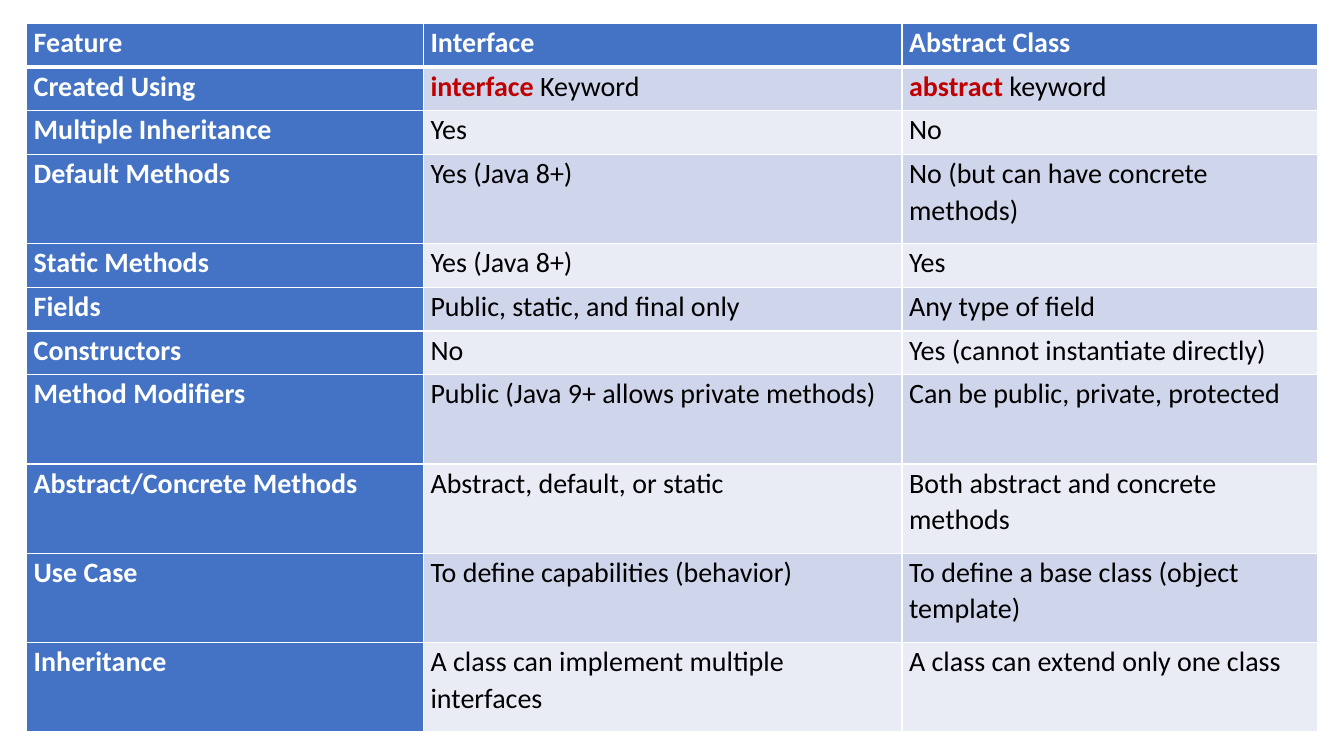
from dataclasses import dataclass

from lxml.etree import SubElement
from pptx import Presentation
from pptx.dml.color import RGBColor as Rgb
from pptx.oxml.ns import qn
from pptx.util import Cm, Pt

# Content: each row is feature, interface, abstract class; *word* marks a keyword
HEADER = ("Feature", "Interface", "Abstract Class")
ROWS = [
    ("Created Using", "*interface* Keyword", "*abstract* keyword"),
    ("Multiple Inheritance", "Yes", "No"),
    ("Default Methods", "Yes (Java 8+)", "No (but can have concrete methods)"),
    ("Static Methods", "Yes (Java 8+)", "Yes"),
    ("Fields", "Public, static, and final only", "Any type of field"),
    ("Constructors", "No", "Yes (cannot instantiate directly)"),
    ("Method Modifiers", "Public (Java 9+ allows private methods)",
     "Can be public, private, protected"),
    ("Abstract/Concrete Methods", "Abstract, default, or static",
     "Both abstract and concrete methods"),
    ("Use Case", "To define capabilities (behavior)",
     "To define a base class (object template)"),
    ("Inheritance", "A class can implement multiple interfaces",
     "A class can extend only one class"),
]
TALL_ROWS = {"Default Methods", "Method Modifiers", "Abstract/Concrete Methods",
             "Use Case", "Inheritance"}

# Layout in centimetres
LEFT, TOP = 0.67, 0.59
COLUMN_WIDTHS = (10.0, 12.06, 10.47)
ROW_HEIGHT, TALL_HEIGHT = 1.1, 2.25
SIDE_MARGIN = 0.18


@dataclass(frozen=True)
class Theme:
    font: str = "Calibri"
    size: int = 20
    line_spacing: float = 1.07
    accent: str = "4472C4"
    bands: tuple = ("CFD5EA", "E9EBF5")
    light: str = "FFFFFF"
    dark: str = "000000"
    keyword: str = "C00000"
    thin: int = 1
    thick: int = 3


THEME = Theme()


def add_span(para, text, color, bold):
    span = para.add_run()
    span.text = text
    span.font.name = THEME.font
    span.font.size = Pt(THEME.size)
    span.font.bold = bold
    span.font.color.rgb = Rgb.from_string(color)


def set_borders(cell, top, bottom):
    properties = cell._tc.get_or_add_tcPr()
    widths = {"a:lnL": THEME.thin, "a:lnR": THEME.thin, "a:lnT": top, "a:lnB": bottom}
    for position, (tag, width) in enumerate(widths.items()):
        line = SubElement(properties, qn(tag), w=str(Pt(width)))
        fill = SubElement(line, qn("a:solidFill"))
        SubElement(fill, qn("a:srgbClr"), val=THEME.light)
        properties.insert(position, line)  # borders precede the cell fill


def fill_cell(cell, text, row, column):
    is_heading = row == 0 or column == 0
    cell.margin_left = cell.margin_right = Cm(SIDE_MARGIN)
    cell.margin_top = cell.margin_bottom = 0
    cell.fill.solid()
    background = THEME.accent if is_heading else THEME.bands[(row - 1) % 2]
    cell.fill.fore_color.rgb = Rgb.from_string(background)
    set_borders(cell,
                top=THEME.thick if row == 1 else THEME.thin,
                bottom=THEME.thick if row == 0 else THEME.thin)

    para = cell.text_frame.paragraphs[0]
    para.line_spacing = THEME.line_spacing
    color = THEME.light if is_heading else THEME.dark
    for index, part in enumerate(text.split("*")):
        is_keyword = index % 2 == 1
        if part:
            add_span(para, part, THEME.keyword if is_keyword else color,
                     is_heading or is_keyword)


def main():
    deck = Presentation()
    deck.slide_width, deck.slide_height = Cm(33.87), Cm(19.05)
    page = deck.slides.add_slide(deck.slide_layouts[6])

    # Comparison table
    lines = [HEADER, *ROWS]
    heights = [TALL_HEIGHT if line[0] in TALL_ROWS else ROW_HEIGHT for line in lines]
    table = page.shapes.add_table(
        len(lines), len(HEADER), Cm(LEFT), Cm(TOP),
        Cm(sum(COLUMN_WIDTHS)), Cm(sum(heights))).table
    table.first_col = True
    for column, width in zip(table.columns, COLUMN_WIDTHS):
        column.width = Cm(width)
    for row, (line, height) in enumerate(zip(lines, heights)):
        table.rows[row].height = Cm(height)
        for column, text in enumerate(line):
            fill_cell(table.cell(row, column), text, row, column)

    deck.save("out.pptx")


if __name__ == "__main__":
    main()
